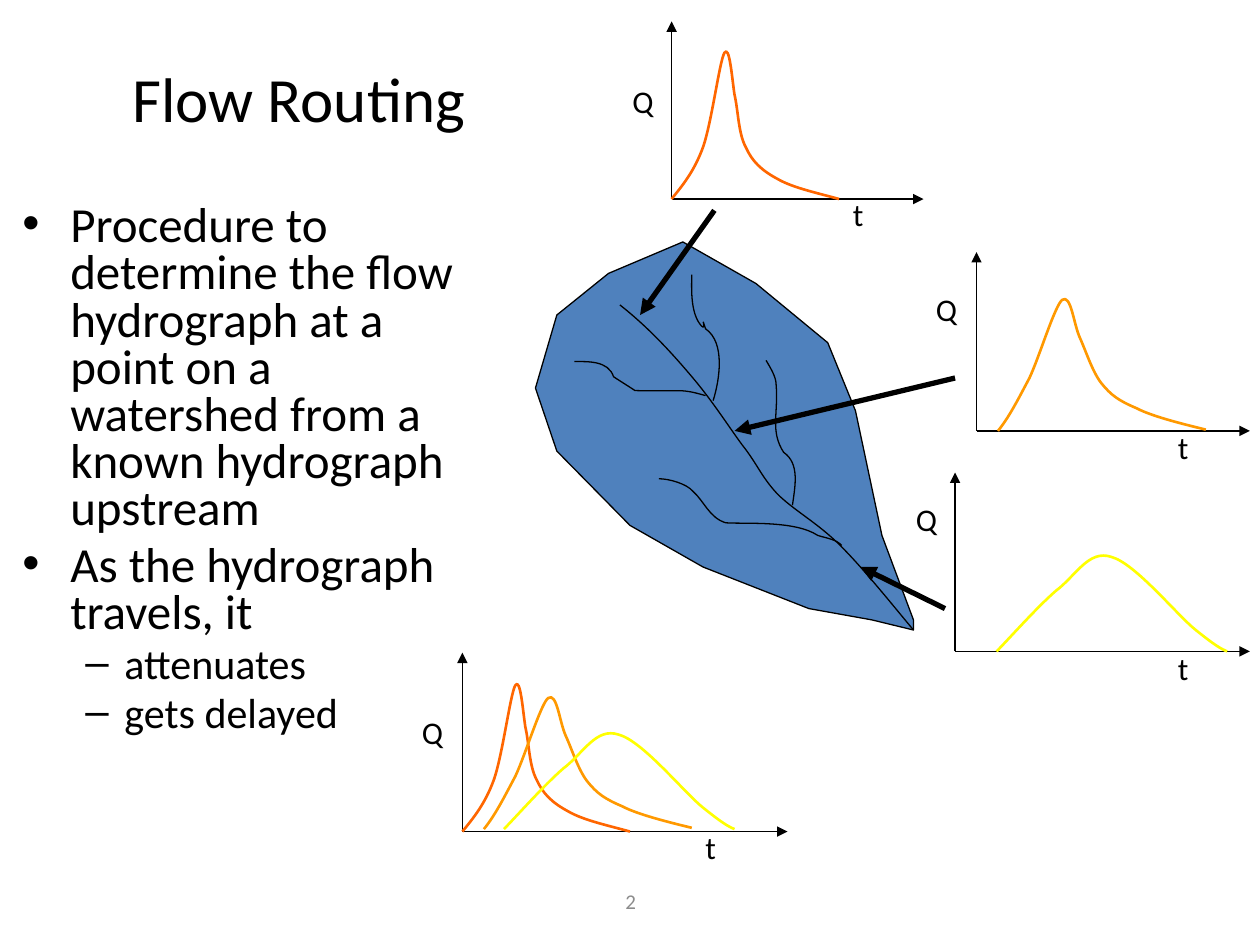
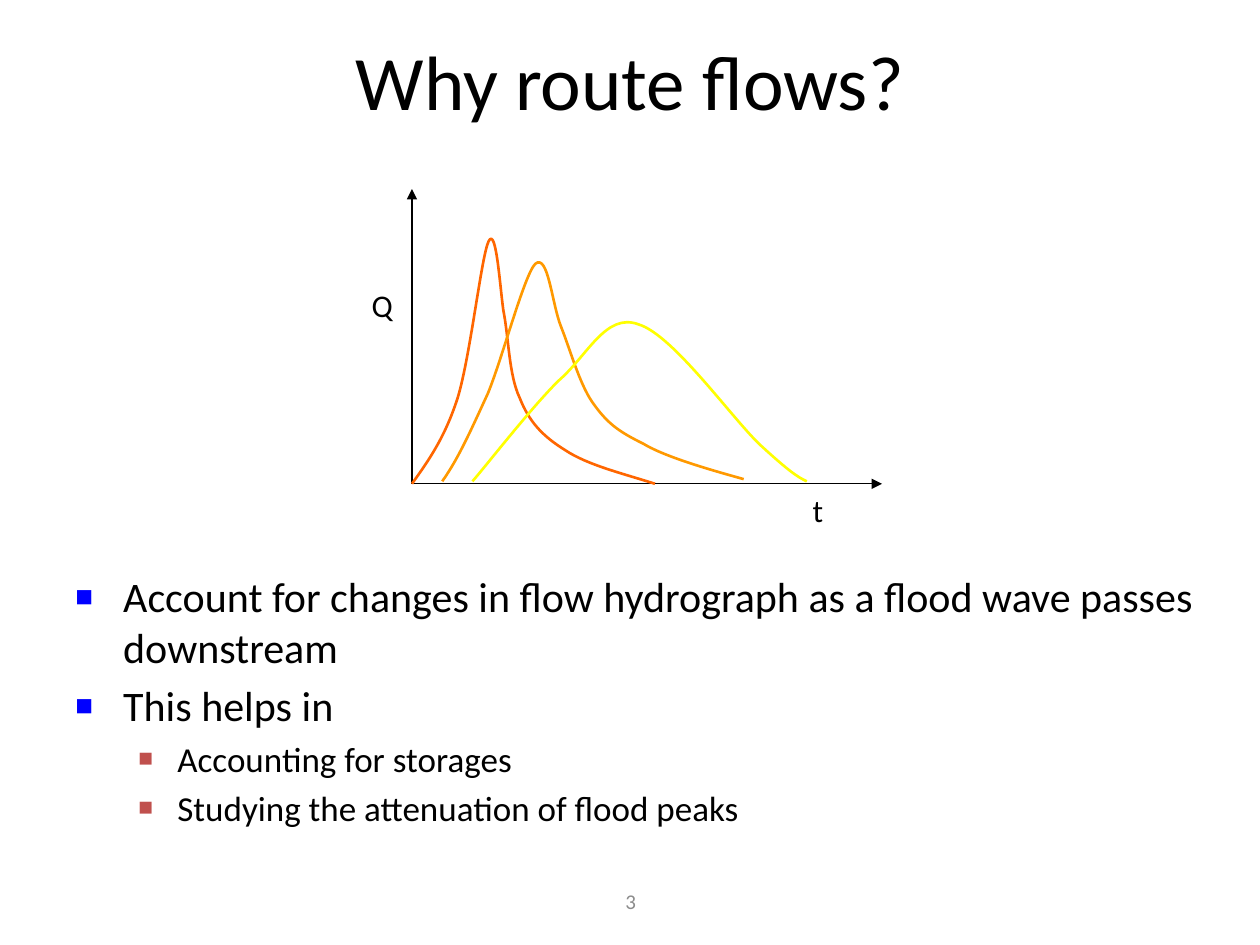
"""Build two slides on flow routing, with hydrographs drawn along a watershed."""
import pptx
import pptx.dml.color
import pptx.enum.shapes
import pptx.enum.text
import pptx.oxml.ns
import pptx.util
from lxml import etree

Inches = pptx.util.Inches
Pt = pptx.util.Pt
Color = pptx.dml.color.RGBColor
Anchor = pptx.enum.text.MSO_ANCHOR
Align = pptx.enum.text.PP_ALIGN
qn = pptx.oxml.ns.qn

BLACK = Color(0, 0, 0)
GREY = Color(0x8C, 0x8C, 0x8C)
WATER = Color(0x4F, 0x81, 0xBD)
RED = Color(0xFF, 0x66, 0x00)
AMBER = Color(0xFF, 0x99, 0x00)
YELLOW = Color(0xFF, 0xFF, 0x00)
FONT = "Calibri"

# fmt: off
HIGH = (RED, [(0, 0), (.09, .11), (.18, .22), (.25, .41), (.32, .61), (.38, 1.09), (.42, 1.16),
              (.46, 1.23), (.48, .96), (.5, .83), (.53, .7), (.53, .52), (.59, .41),
              (.64, .3), (.71, .23), (.84, .16), (.96, .09), (1.15, .05), (1.33, 0)])
MID = (AMBER, [(0, 0), (.09, .11), (.16, .25), (.25, .42), (.33, .59), (.45, .99), (.51, 1.04),
               (.58, 1.09), (.6, .85), (.65, .74), (.7, .63), (.75, .47), (.82, .38),
               (.9, .28), (.96, .24), (1.1, .18), (1.23, .11), (1.53, .04), (1.65, .01)])
LOW = (YELLOW, [(0, 0), (.08, .08), (.32, .35), (.47, .48), (.63, .6), (.73, .81), (.91, .75),
                (1.1, .7), (1.43, .29), (1.58, .17), (1.73, .05), (1.78, .02), (1.83, 0)])
BASIN = [(6.42, 4.83), (5.58, 4.5), (5, 4.17), (4.42, 3.58), (4.25, 3.08), (4.42, 2.5),
         (4.83, 2.17), (5.42, 1.92), (6, 2.25), (6.57, 2.72), (6.79, 3.26), (7, 4.25),
         (7.25, 4.92), (7.25, 5), (6.92, 4.92)]
STREAMS = [
    [(7.25, 5), (7.05, 4.76), (6.85, 4.51), (6.67, 4.33), (6.49, 4.15), (6.3, 4.05),
     (6.17, 3.92), (6.04, 3.78), (6.01, 3.68), (5.89, 3.53), (5.78, 3.38), (5.66, 3.19),
     (5.5, 3), (5.34, 2.81), (5.15, 2.6), (4.92, 2.42)],
    [(6.68, 4.33), (6.64, 4.28), (6.55, 4.27), (6.49, 4.25), (6.31, 4.13), (5.92, 4.16),
     (5.76, 4.15), (5.63, 4.11), (5.59, 3.98), (5.5, 3.9), (5.45, 3.84), (5.31, 3.8), (5.23, 3.8)],
    [(6.29, 4.01), (6.31, 3.86), (6.35, 3.68), (6.22, 3.59), (6.11, 3.42), (6.18, 3.28),
     (6.16, 3.05), (6.16, 2.99), (6.11, 2.91), (6.08, 2.86)],
    [(5.6, 3.14), (5.39, 3.08), (5.44, 3.11), (5.04, 3.1), (4.98, 3.06), (4.93, 3.03),
     (4.87, 2.99), (4.83, 2.86), (4.66, 2.87), (4.56, 2.87)],
    [(5.66, 3.18), (5.71, 3.02), (5.76, 2.72), (5.6, 2.61), (5.55, 2.46), (5.63, 2.69),
     (5.54, 2.55), (5.48, 2.44), (5.49, 2.29), (5.49, 2.18)],
]
# fmt: on
FLOWS = [((5.67, 1.67), (5.08, 2.5)), ((7.58, 3), (5.83, 3.42)), ((7.5, 4.83), (6.83, 4.5))]

DASHES = [("•", None), ("–", None)]
SQUARES = [("■", "0000FF"), ("■", "C0504D")]
INDENTS = [(.38, .38), (.81, .31)]

PAGES = [
    dict(
        title="Flow Routing", head=(.08, .46, 4.58, .62), big=36,
        body=(.08, 1.58, 3.9, 4.75), sizes=(28, 24), gap=.8, marks=DASHES,
        lines=[(0, "Procedure to determine the flow hydrograph at a point on a watershed "
                   "from a known hydrograph upstream"),
               (0, "As the hydrograph travels, it"), (1, "attenuates"), (1, "gets delayed")],
        scale=(1, 1), wide=.33,
        plots=[
            ((5.33, 1.58), .17, 7.33, (4.92, .6), (6.67, 1.5), [(HIGH, 0, 0)]),
            ((7.75, 3.42), 2, 9.92, (7.33, 2.25), (9.25, 3.35), [(MID, .17, 0)]),
            ((7.58, 5.17), 3.75, 9.92, (7.17, 3.92), (9.25, 5.1), [(LOW, .33, 0)]),
            ((3.67, 6.6), 5.18, 6.25, (3.25, 5.61), (5.5, 6.52),
             [(HIGH, 0, 0), (MID, .17, .02), (LOW, .33, .02)]),
        ],
    ),
    dict(
        title="Why route flows?", head=(.5, .16, 9, .95), big=44,
        body=(.5, 4.48, 9.17, 2.6), sizes=(24, 20), gap=1, marks=SQUARES,
        lines=[(0, "Account for changes in flow hydrograph as a flood wave passes downstream"),
               (0, "This helps in"), (1, "Accounting for storages"),
               (1, "Studying the attenuation of flood peaks")],
        scale=(1.45, 1.66), wide=.48,
        plots=[
            ((3.27, 3.84), 1.5, 7, (2.85, 2.22), (6.35, 3.85),
             [(HIGH, 0, 0), (MID, .24, .02), (LOW, .48, .02)]),
        ],
    ),
]


def trace(slide, dots, color, width, fill=None):
    """Draw a filled polygon, or an open line of cubic curves."""
    dots = [(Inches(x), Inches(y)) for x, y in dots]
    pen = slide.shapes.build_freeform(*dots[0])
    pen.add_line_segments(dots[1:], close=fill is not None)
    shape = pen.convert_to_shape()
    shape.shadow.inherit = False
    shape.line.color.rgb = color
    shape.line.width = Pt(width)
    if fill is not None:
        shape.fill.solid()
        shape.fill.fore_color.rgb = fill
        return
    shape.fill.background()
    route = next(shape._element.iter(qn("a:path")))
    legs = route.findall(qn("a:lnTo"))
    for i in range(0, len(legs), 3):
        curve = etree.SubElement(route, qn("a:cubicBezTo"))
        for leg in legs[i:i + 3]:
            curve.append(leg[0])
            route.remove(leg)


def arrow(slide, start, end, width):
    """Draw a black straight arrow."""
    link = slide.shapes.add_connector(
        pptx.enum.shapes.MSO_CONNECTOR.STRAIGHT, *[Inches(n) for n in (*start, *end)])
    link.line.color.rgb = BLACK
    link.line.width = Pt(width)
    etree.SubElement(link.line._get_or_add_ln(), qn("a:tailEnd"), type="triangle")
    etree.SubElement(link._element.spPr, qn("a:effectLst"))


deck = pptx.Presentation()
deck.slide_width = Inches(10)
deck.slide_height = Inches(7.5)

for number, page in enumerate(PAGES, 2):
    slide = deck.slides.add_slide(deck.slide_layouts[5])
    title = slide.shapes.title
    title.left, title.top, title.width, title.height = [Inches(n) for n in page["head"]]
    frame = title.text_frame
    frame.auto_size = pptx.enum.text.MSO_AUTO_SIZE.NONE
    frame.vertical_anchor = Anchor.MIDDLE
    para = frame.paragraphs[0]
    para.alignment = Align.CENTER
    run = para.add_run()
    run.text = page["title"]
    run.font.name, run.font.size = FONT, Pt(page["big"])
    run.font.color.rgb = BLACK

    frame = slide.shapes.add_textbox(*[Inches(n) for n in page["body"]]).text_frame
    frame.word_wrap = True
    for i, (level, words) in enumerate(page["lines"]):
        para = frame.add_paragraph() if i else frame.paragraphs[0]
        size = page["sizes"][level]
        para.level = level
        para.line_spacing = page["gap"]
        para.space_before = Pt(size * .2)
        run = para.add_run()
        run.text = words
        run.font.name, run.font.size = FONT, Pt(size)
        run.font.color.rgb = BLACK
        props = para._p.get_or_add_pPr()
        left, hang = INDENTS[level]
        props.set("marL", str(Inches(left)))
        props.set("indent", str(-Inches(hang)))
        mark, tint = page["marks"][level]
        if tint:
            etree.SubElement(etree.SubElement(props, qn("a:buClr")), qn("a:srgbClr"), val=tint)
            etree.SubElement(props, qn("a:buSzPct"), val="70000")
        etree.SubElement(props, qn("a:buFont"), typeface="Arial")
        etree.SubElement(props, qn("a:buChar"), char=mark)

    labels = [(str(number), (3.42, 6.95), 3.17, 12, GREY, Align.CENTER, Anchor.MIDDLE)]
    wide, high = page["scale"]
    for (x, y), top, right, flow, time, curves in page["plots"]:
        arrow(slide, (x, y), (x, top), .75)
        arrow(slide, (x, y), (right, y), .75)
        for (color, dots), lag, lift in curves:
            trace(slide, [(x + lag + wide * a, y - lift - high * b) for a, b in dots], color, 1.5)
        for words, spot in (("Q", flow), ("t", time)):
            labels.append((words, spot, page["wide"], 18, BLACK, Align.LEFT, Anchor.TOP))

    for words, (x, y), width, size, color, align, anchor in labels:
        box = slide.shapes.add_textbox(Inches(x), Inches(y), Inches(width), Inches(.4))
        frame = box.text_frame
        frame.word_wrap = True
        frame.vertical_anchor = anchor
        para = frame.paragraphs[0]
        para.alignment = align
        run = para.add_run()
        run.text = words
        run.font.name, run.font.size = FONT, Pt(size)
        run.font.color.rgb = color

slide = deck.slides[0]
trace(slide, BASIN, BLACK, .75, WATER)
for stream in STREAMS:
    trace(slide, stream, BLACK, .75)
for start, end in FLOWS:
    arrow(slide, start, end, 3)

deck.save("out.pptx")
